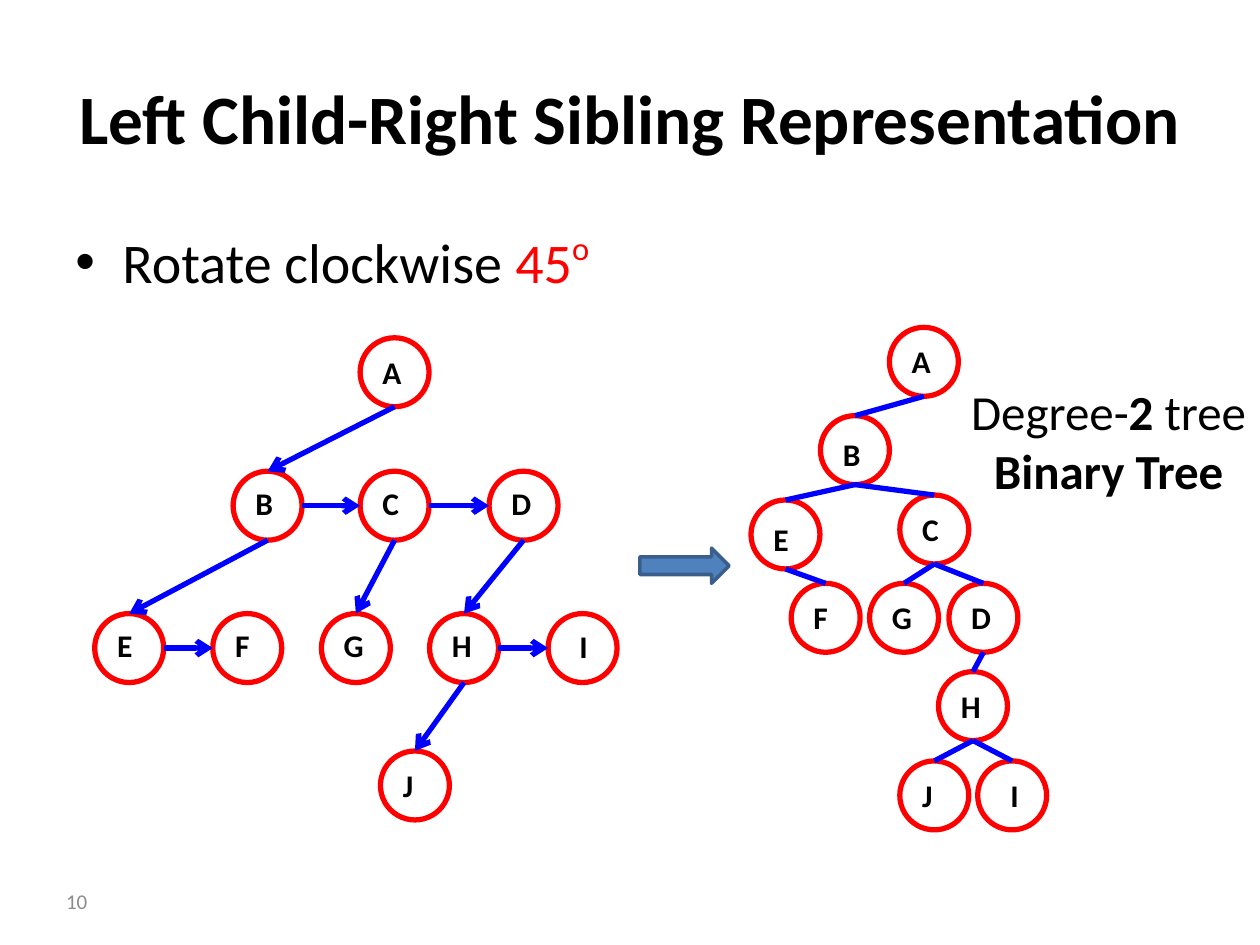
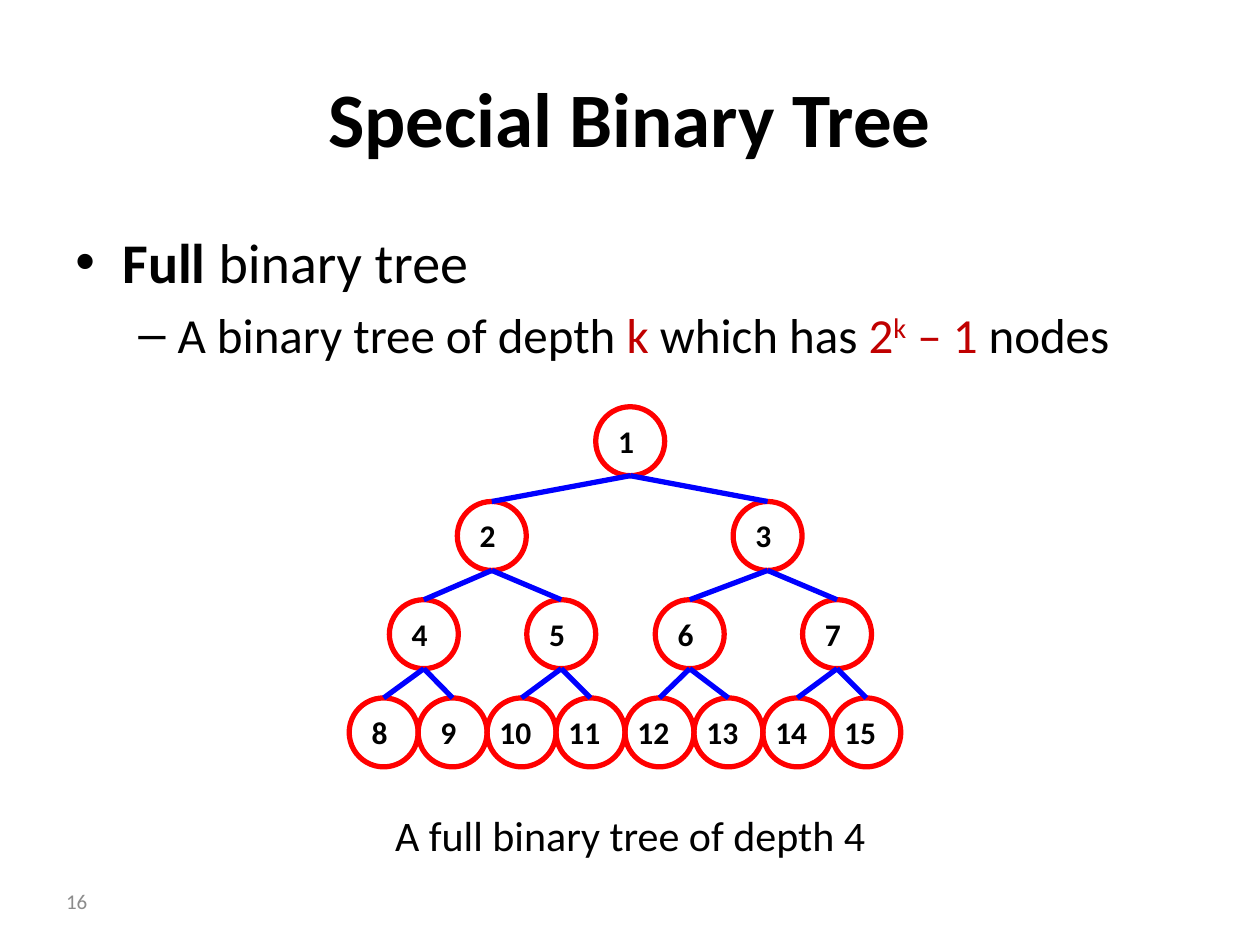
from lxml import etree
from pptx import Presentation
from pptx import util as u
from pptx.dml import color as dml
from pptx.enum import shapes, text
from pptx.oxml import ns

COLORS = {
    "text": "000000", "node": "FF0000", "edge": "0000FF", "accent": "FF0000",
    "formula": "C00000", "arrow": "4F81BD", "arrow_line": "3A5F8C",
    "caption": "FFFFFF", "number": "8C8C8C",
}
FONT = "Calibri"
DIAMETER = 1.39
LABEL_INSETS = (0.25, 0.38)
BULLETS = [("•", 0.95, -0.95, 6.4), ("–", 2.06, -0.79, 5.6)]
ALIGN = text.PP_ALIGN
ANCHOR = text.MSO_ANCHOR


def rgb(name):
    return dml.RGBColor.from_string(COLORS[name])


def add_xml(parent, tag, **attributes):
    return etree.SubElement(parent, ns.qn(tag), attributes)


class SlideBuilder:
    def __init__(self, presentation):
        self.presentation = presentation
        self.slide = None

    def start(self, title, title_size, number):
        self.slide = self.presentation.slides.add_slide(self.presentation.slide_layouts[6])
        self.text_box((1.27, 0.76, 22.86, 3.18), [[(title, {"bold": True})]],
                      size=title_size, align=ALIGN.CENTER, anchor=ANCHOR.MIDDLE)
        self.text_box((0, 17.65, 2.01, 1.02), [[(number, {})]], size=12,
                      color="number", align=ALIGN.RIGHT, anchor=ANCHOR.MIDDLE)

    def set_text(self, shape, paragraphs, size=18, color="text", align=ALIGN.LEFT,
                 anchor=ANCHOR.TOP, wrap=True, insets=(0.25, 0.13)):
        frame = shape.text_frame
        across, down = (u.Cm(inset) for inset in insets)
        settings = {"word_wrap": wrap, "vertical_anchor": anchor,
                    "margin_left": across, "margin_right": across,
                    "margin_top": down, "margin_bottom": down}
        for name, value in settings.items():
            setattr(frame, name, value)
        for index, runs in enumerate(paragraphs):
            paragraph = frame.add_paragraph() if index else frame.paragraphs[0]
            paragraph.alignment = align
            for content, changes in runs:
                self.add_run(paragraph, content, {"size": size, "color": color, **changes})
        return frame

    def add_run(self, paragraph, content, style):
        run = paragraph.add_run()
        run.text = content
        values = {"name": FONT, "bold": False, **style}
        run.font.color.rgb = rgb(values.pop("color"))
        baseline = values.pop("baseline", None)
        values["size"] = u.Pt(values["size"])
        for name, value in values.items():
            setattr(run.font, name, value)
        if baseline:
            run._r.get_or_add_rPr().set("baseline", str(baseline * 1000))

    def text_box(self, box, paragraphs, **style):
        shape = self.slide.shapes.add_textbox(*map(u.Cm, box))
        return self.set_text(shape, paragraphs, **style)

    def bullets(self, paragraphs):
        frame = self.text_box((1.27, 4.45, 22.86, 12.57), paragraphs, size=32)
        for level, paragraph in enumerate(frame.paragraphs):
            mark, margin, indent, space = BULLETS[level]
            paragraph.level = level
            paragraph.space_before = u.Pt(space)
            properties = paragraph._p.get_or_add_pPr()
            properties.set("marL", str(u.Cm(margin)))
            properties.set("indent", str(u.Cm(indent)))
            add_xml(properties, "a:buFont", typeface="Arial")
            add_xml(properties, "a:buChar", char=mark)

    def shape(self, kind, box, fill=None, line=None, width=3):
        shape = self.slide.shapes.add_shape(kind, *map(u.Cm, box))
        shape.shadow.inherit = False
        if fill:
            shape.fill.solid()
            shape.fill.fore_color.rgb = rgb(fill)
        else:
            shape.fill.background()
        if line:
            shape.line.color.rgb = rgb(line)
            shape.line.width = u.Pt(width)
        else:
            shape.line.fill.background()
        return shape

    def edge(self, parent, child, arrow):
        half_width, half_height = parent.width // 2, parent.height // 2
        sideways = parent.top == child.top
        if sideways:
            begin = parent.left + parent.width, parent.top + half_height
            end = child.left, child.top + half_height
        else:
            begin = parent.left + half_width, parent.top + parent.height
            end = child.left + half_width, child.top
        connector = self.slide.shapes.add_connector(shapes.MSO_CONNECTOR.STRAIGHT, *begin, *end)
        if not sideways:
            connector.end_connect(child, 0)
        connector.line.color.rgb = rgb("edge")
        connector.line.width = u.Pt(3)
        properties = connector._element.spPr
        if arrow:
            add_xml(properties.find(ns.qn("a:ln")), "a:tailEnd", type="arrow")
        add_xml(properties, "a:effectLst")

    def tree(self, nodes, edges, arrow=False, shifts=None):
        circles = {
            name: self.shape(shapes.MSO_SHAPE.OVAL, (left, top, DIAMETER, DIAMETER), line="node")
            for name, (left, top) in nodes.items()
        }
        for parent, child in edges:
            self.edge(circles[parent], circles[child], arrow)
        for name, (left, top) in nodes.items():
            default = (0.2, -0.08) if len(name) == 1 else (0, -0.08)
            across, down = (shifts or {}).get(name, default)
            width = 1 if len(name) == 1 else 1.6
            self.text_box((left + across, top + down, width, 1.68),
                          [[(name, {"bold": True})]], insets=LABEL_INSETS)

    def caption(self, box, content):
        shape = self.shape(shapes.MSO_SHAPE.RECTANGLE, box, fill="caption")
        fill_color = shape._element.spPr.find(".//" + ns.qn("a:srgbClr"))
        add_xml(fill_color, "a:alpha", val="50000")
        self.set_text(shape, [[(content, {})]], size=24, align=ALIGN.CENTER,
                      insets=LABEL_INSETS)


def row(top, **lefts):
    return {name: (left, top) for name, left in lefts.items()}


def sibling_slide(builder):
    builder.start("Left Child-Right Sibling Representation", 39.6, "10")
    builder.bullets([[("Rotate clockwise ", {}), ("45", {"color": "accent"}),
                      ("o", {"color": "accent", "baseline": 40})]])
    sibling_nodes = {
        **row(6.81, A=7.26),
        **row(9.5, B=4.7, C=7.26, D=9.86),
        **row(12.37, E=1.91, F=4.29, G=6.48, H=8.66, I=11.05),
        **row(15.14, J=7.67),
    }
    shifts = {name: (0.2, -0.12) for name in "BCDEFGH"}
    builder.tree(sibling_nodes, ["AB", "BE", "EF", "BC", "CD", "CG", "DH", "HI", "HJ"],
                 arrow=True, shifts={**shifts, "I": (0.38, -0.1)})
    binary_nodes = {
        **row(6.6, A=17.93),
        **row(8.38, B=16.54),
        **row(10.08, E=15.14),
        **row(9.98, C=18.14),
        **row(11.76, F=15.95, G=17.53, D=19.13),
        **row(13.54, H=18.92),
        **row(15.34, J=18.14, I=19.71),
    }
    builder.tree(binary_nodes, ["AB", "BE", "BC", "EF", "CG", "CD", "DH", "HJ", "HI"],
                 shifts={"B": (0.2, 0), "E": (0.2, 0.03), "I": (0.41, -0.08)})
    builder.shape(shapes.MSO_SHAPE.RIGHT_ARROW, (12.9, 11.05, 1.8, 0.71),
                  fill="arrow", line="arrow_line", width=2)
    builder.text_box((19.3, 7.57, 6.1, 2.64),
                     [[("Degree-", {}), ("2", {"bold": True}), (" tree", {})],
                      [("Binary Tree", {"bold": True})]],
                     size=28, align=ALIGN.CENTER, wrap=False)


def full_tree_slide(builder):
    builder.start("Special Binary Tree", 44, "16")
    plain, formula = {"size": 28}, {"size": 28, "color": "formula"}
    builder.bullets([
        [("Full ", {"bold": True}), ("binary tree", {})],
        [("A binary tree of depth ", plain), ("k", formula), (" which has ", plain),
         ("2", formula), ("k", {**formula, "baseline": 30}), (" – 1 ", formula),
         ("nodes", plain)],
    ])
    levels = [
        (8.2, [12.01]),
        (10.11, [9.22, 14.78]),
        (12.09, [7.85, 10.62, 13.21, 16.18]),
        (14.07, [7.04 + DIAMETER * leaf for leaf in range(8)]),
    ]
    places = [(left, top) for top, lefts in levels for left in lefts]
    nodes = {str(number): place for number, place in enumerate(places, 1)}
    edges = [(str(number // 2), str(number)) for number in range(2, len(nodes) + 1)]
    builder.tree(nodes, edges)
    builder.caption((7.65, 15.93, 10.11, 1.8), "A full binary tree of depth 4")


def main():
    presentation = Presentation()
    presentation.slide_width = u.Cm(25.4)
    presentation.slide_height = u.Cm(19.05)
    builder = SlideBuilder(presentation)
    sibling_slide(builder)
    full_tree_slide(builder)
    presentation.save("out.pptx")


if __name__ == "__main__":
    main()
